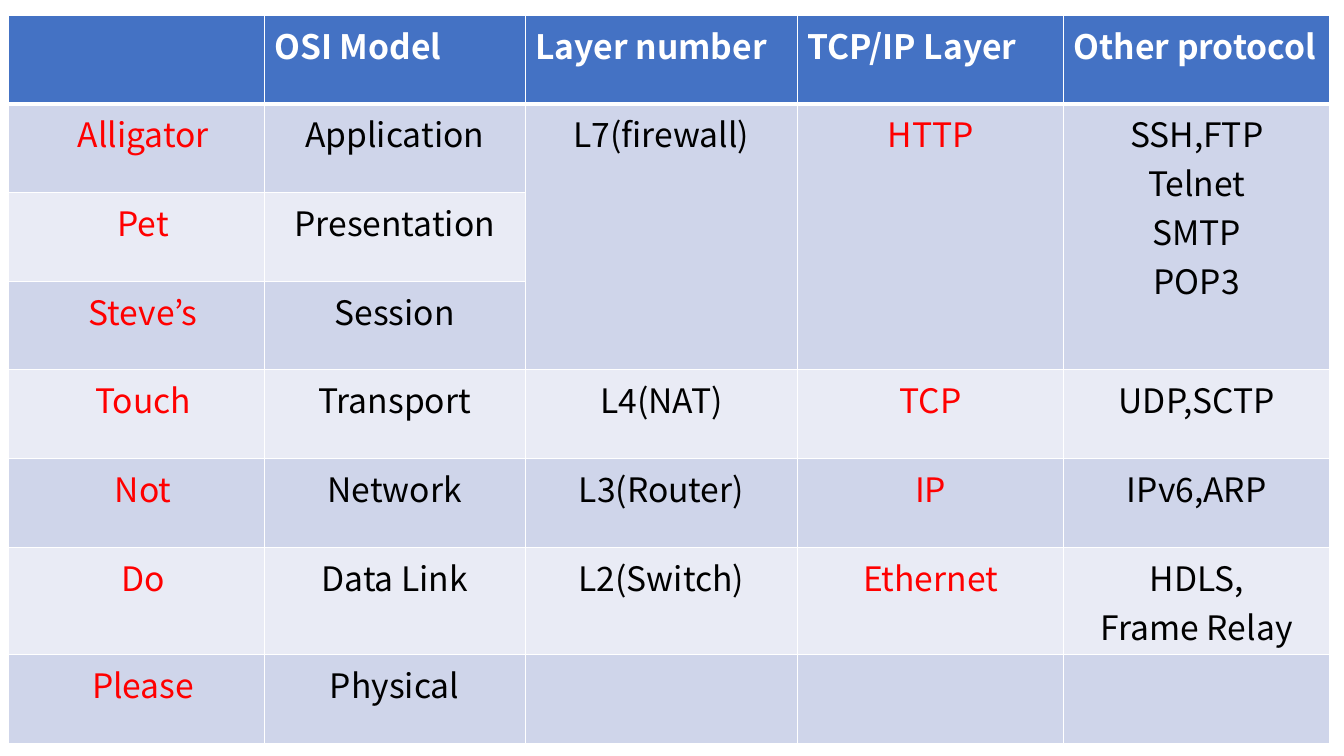
from lxml.etree import SubElement
from pptx import Presentation
from pptx.dml.color import RGBColor
from pptx.enum.text import PP_ALIGN
from pptx.oxml.ns import qn
from pptx.util import Inches, Pt

FONT = "Noto Sans CJK KR"
COLORS = {"head": "4472C4", "odd": "CFD5EA", "even": "E9EBF5",
          "white": "FFFFFF", "black": "000000", "red": "FF0000"}
WIDTHS = [2.54, 2.59, 2.7, 2.64, 2.64]
ROWS = [
    ["", "OSI Model", "Layer number", "TCP/IP Layer", "Other protocol"],
    ["Alligator", "Application", "L7(firewall)", "HTTP", "SSH,FTP\nTelnet\nSMTP\nPOP3"],
    ["Pet", "Presentation", "", "", ""],
    ["Steve’s", "Session", "", "", ""],
    ["Touch", "Transport", "L4(NAT)", "TCP", "UDP,SCTP"],
    ["Not", "Network", "L3(Router)", "IP", "IPv6,ARP"],
    ["Do", "Data Link", "L2(Switch)", "Ethernet", "HDLS,\nFrame Relay"],
    ["Please", "Physical", "", "", ""],
]
RED_COLS = (0, 3)


def color(name):
    """Return the named colour."""
    return RGBColor.from_string(COLORS[name])


def set_edges(cell, row):
    """Draw white cell borders, thick under the header."""
    props = cell._tc.get_or_add_tcPr()
    thick = {0: "lnB", 1: "lnT"}.get(row)
    for side in ("lnL", "lnR", "lnT", "lnB"):
        width = Pt(3 if side == thick else 1)
        line = SubElement(props, qn(f"a:{side}"), w=str(width))
        fill = SubElement(line, qn("a:solidFill"))
        SubElement(fill, qn("a:srgbClr"), val=COLORS["white"])


def fill_cell(cell, text, row, col):
    """Write and format one cell."""
    head = row == 0
    set_edges(cell, row)
    cell.fill.solid()
    cell.fill.fore_color.rgb = color("head" if head else "odd" if row % 2 else "even")
    if col == 0:
        cell.margin_left = Inches(0.24)
    cell.text_frame.text = text
    ink = "white" if head else "red" if col in RED_COLS else "black"
    for para in cell.text_frame.paragraphs:
        para.alignment = PP_ALIGN.LEFT if head else PP_ALIGN.CENTER
        for run in para.runs:
            run.font.name = FONT
            run.font.size = Pt(24)
            run.font.bold = head
            run.font.color.rgb = color(ink)


def add_layers(slide, left, top, height):
    """Place the table of network layers."""
    frame = slide.shapes.add_table(
        len(ROWS), len(WIDTHS), Inches(left), Inches(top),
        Inches(sum(WIDTHS)), Inches(height))
    table = frame.table
    for col, width in zip(table.columns, WIDTHS):
        col.width = Inches(width)
    for row, texts in enumerate(ROWS):
        table.rows[row].height = Inches(height / len(ROWS))
        for col, text in enumerate(texts):
            fill_cell(table.cell(row, col), text, row, col)
    for col in range(2, len(WIDTHS)):
        table.cell(1, col).merge(table.cell(3, col))


def main():
    """Build and save the slide."""
    deck = Presentation()
    deck.slide_width = Inches(13.33)
    deck.slide_height = Inches(7.5)
    slide = deck.slides.add_slide(deck.slide_layouts[6])
    add_layers(slide, 0.08, 0.15, 7.04)
    deck.save("out.pptx")


if __name__ == "__main__":
    main()
